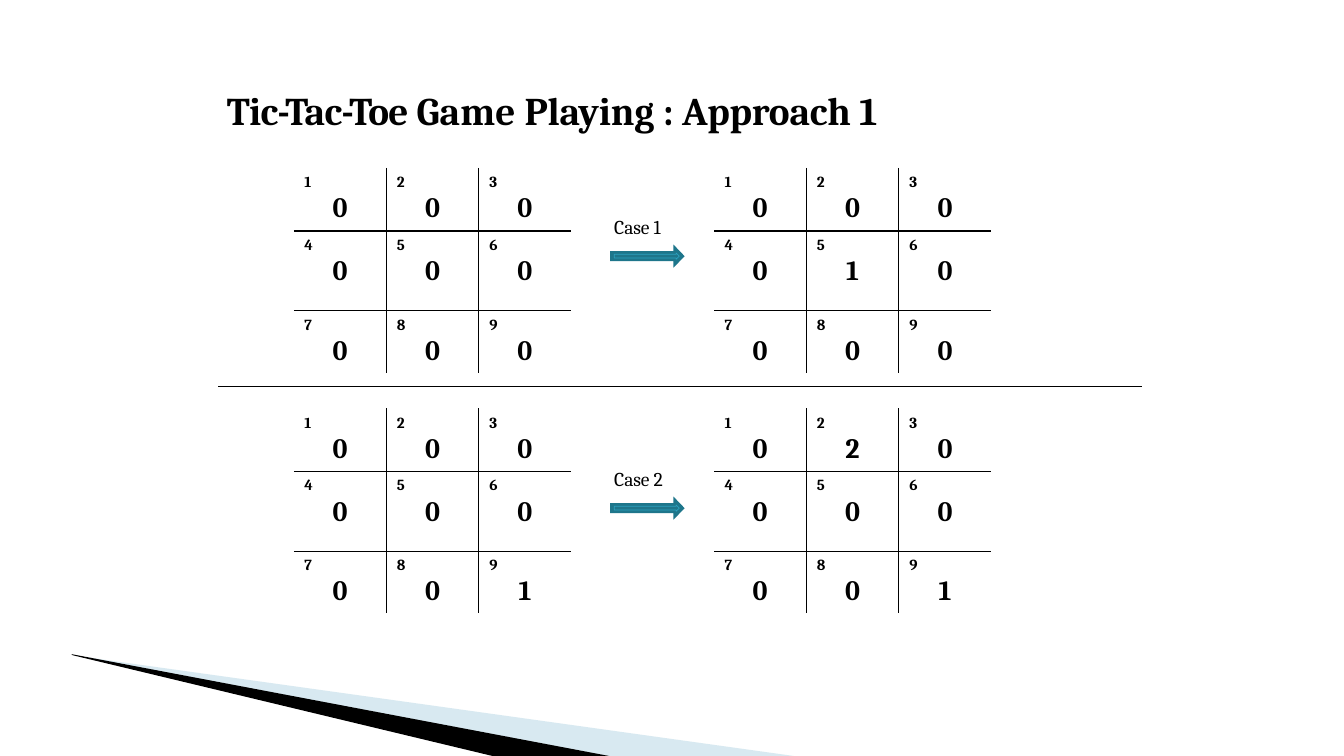
from dataclasses import dataclass

from lxml import etree
from pptx import Presentation
from pptx.dml.color import RGBColor
from pptx.enum.shapes import MSO_CONNECTOR, MSO_SHAPE
from pptx.enum.text import MSO_ANCHOR, PP_ALIGN
from pptx.oxml.ns import qn
from pptx.util import Pt

PX = 9525
LEFT = PP_ALIGN.LEFT
CENTER = PP_ALIGN.CENTER
TOP = MSO_ANCHOR.TOP
RIGHT_ARROW = MSO_SHAPE.RIGHT_ARROW
STRAIGHT = MSO_CONNECTOR.STRAIGHT

FONT = "Cambria"
BLACK = "000000"
PALE_BLUE = "9FCADC"
ARROW_DARK = "1E768B"
ARROW_LIGHT = "2CA1BE"

COLUMN_WIDTH = 88
ROW_HEIGHTS = (60, 76, 59)
BOARD_LEFTS = (280, 680)


@dataclass(frozen=True)
class Case:
    label: str
    board_top: int
    label_top: int
    boards: tuple[str, str]


@dataclass(frozen=True)
class Wedge:
    points: tuple[tuple[int, int], ...]
    color: str
    opacity: int


@dataclass(frozen=True)
class ArrowLayer:
    left: int
    rise: int
    width: int
    height: int
    shaft: float
    head: float
    line: str


CASES = (
    Case("Case 1", 160, 204, ("000000000", "000010000")),
    Case("Case 2", 389, 444, ("000000001", "020000001")),
)
WEDGES = (
    Wedge(((70, 624), (82, 626), (579, 720), (756, 720), (82, 626)), PALE_BLUE, 40),
    Wedge(((68, 623), (69, 624), (469, 720), (580, 720)), BLACK, 100),
)
ARROW_LAYERS = (
    ArrowLayer(581, 29, 71, 22, 0.44, 0.48, ""),
    ArrowLayer(585, 37, 62, 6, 0.6, 0.5, ARROW_LIGHT),
)
TITLE_RUNS = (
    ("Tic-Tac-Toe ", -0.4),
    ("Game ", 0.1),
    ("Playing ", -0.1),
    (": ", 0),
    ("Approach ", -0.1),
    ("1", 0),
)


def rgb(color: str) -> RGBColor:
    return RGBColor.from_string(color)


def write(paragraph, text: str, *, size: float, bold: bool = False,
          spacing: float = 0, align=LEFT, indent: int = 0,
          before: float = 0, line_height: float = 0) -> None:
    paragraph.alignment = align
    paragraph.space_before = Pt(before)
    if line_height:
        paragraph.line_spacing = Pt(line_height)
    properties = paragraph._p.get_or_add_pPr()
    properties.set("marL", str(indent * PX))
    properties.set("indent", "0")
    run = paragraph.add_run()
    run.text = text
    run.font.name = FONT
    run.font.size = Pt(size)
    run.font.bold = bold
    run.font.color.rgb = rgb(BLACK)
    if spacing:
        run._r.get_or_add_rPr().set("spc", str(round(spacing * 100)))


def add_text_box(slide, left: int, top: int, width: int, height: int, wrap: bool):
    box = slide.shapes.add_textbox(left * PX, top * PX, width * PX, height * PX)
    frame = box.text_frame
    frame.word_wrap = wrap
    frame.margin_left = frame.margin_right = frame.margin_bottom = 0
    frame.margin_top = PX
    return frame.paragraphs[0]


def add_wedge(slide, wedge: Wedge) -> None:
    builder = slide.shapes.build_freeform(*wedge.points[0], scale=PX)
    builder.add_line_segments(wedge.points[1:], close=True)
    shape = builder.convert_to_shape()
    shape.shadow.inherit = False
    shape.line.fill.background()
    shape.fill.solid()
    shape.fill.fore_color.rgb = rgb(wedge.color)
    if wedge.opacity < 100:
        color = shape._element.spPr.find(f"{qn('a:solidFill')}/{qn('a:srgbClr')}")
        etree.SubElement(color, qn("a:alpha"), val=str(wedge.opacity * 1000))


def set_borders(cell, row: int, column: int) -> None:
    properties = cell._tc.get_or_add_tcPr()
    inner = {"L": column > 0, "R": column < 2, "T": row > 0, "B": row < 2}
    for position, (side, visible) in enumerate(inner.items()):
        border = etree.Element(qn(f"a:ln{side}"), w=str(Pt(1)))
        if visible:
            fill = etree.SubElement(border, qn("a:solidFill"))
            etree.SubElement(fill, qn("a:srgbClr"), val=BLACK)
        else:
            etree.SubElement(border, qn("a:noFill"))
        properties.insert(position, border)


def add_board(slide, left: int, top: int, values: str) -> None:
    table = slide.shapes.add_table(
        3, 3, left * PX, top * PX, 3 * COLUMN_WIDTH * PX, sum(ROW_HEIGHTS) * PX
    ).table
    table.first_row = False
    table.horz_banding = False
    for column in table.columns:
        column.width = COLUMN_WIDTH * PX
    for row, height in zip(table.rows, ROW_HEIGHTS):
        row.height = height * PX
    for index, value in enumerate(values):
        row, column = divmod(index, 3)
        cell = table.cell(row, column)
        cell.margin_left = cell.margin_right = cell.margin_bottom = 0
        cell.margin_top = 5 * PX
        cell.vertical_anchor = TOP
        cell.fill.background()
        set_borders(cell, row, column)
        frame = cell.text_frame
        write(frame.paragraphs[0], str(index + 1), size=11, bold=True,
              indent=10, before=3.5, line_height=13)
        write(frame.add_paragraph(), value, size=20, bold=True,
              align=CENTER, line_height=23.8)


def add_arrow_layer(slide, layer: ArrowLayer, label_top: int) -> None:
    shape = slide.shapes.add_shape(
        RIGHT_ARROW, layer.left * PX, (label_top + layer.rise) * PX,
        layer.width * PX, layer.height * PX)
    shape.shadow.inherit = False
    shape.adjustments[0] = layer.shaft
    shape.adjustments[1] = layer.head
    shape.fill.solid()
    shape.fill.fore_color.rgb = rgb(ARROW_DARK)
    if layer.line:
        shape.line.color.rgb = rgb(layer.line)
        shape.line.width = Pt(0.5)
    else:
        shape.line.fill.background()


def add_divider(slide) -> None:
    line = slide.shapes.add_connector(STRAIGHT, 208 * PX, 368 * PX, 1088 * PX, 368 * PX)
    line.line.color.rgb = rgb(BLACK)
    line.line.width = Pt(0.75)
    etree.SubElement(line._element.spPr, qn("a:effectLst"))


def main() -> None:
    presentation = Presentation()
    presentation.slide_width = 1280 * PX
    presentation.slide_height = 720 * PX
    slide = presentation.slides.add_slide(presentation.slide_layouts[6])
    for wedge in WEDGES:
        add_wedge(slide, wedge)
    title = add_text_box(slide, 216, 81, 664, 48, True)
    for text, spacing in TITLE_RUNS:
        write(title, text, size=28, bold=True, spacing=spacing, before=1.1)
    for case in CASES:
        for left, values in zip(BOARD_LEFTS, case.boards):
            add_board(slide, left, case.board_top, values)
        for layer in ARROW_LAYERS:
            add_arrow_layer(slide, layer, case.label_top)
        label = add_text_box(slide, 585, case.label_top, 54, 24, False)
        write(label, case.label, size=14, spacing=-0.1, before=0.9)
    add_divider(slide)
    presentation.save("out.pptx")


if __name__ == "__main__":
    main()
